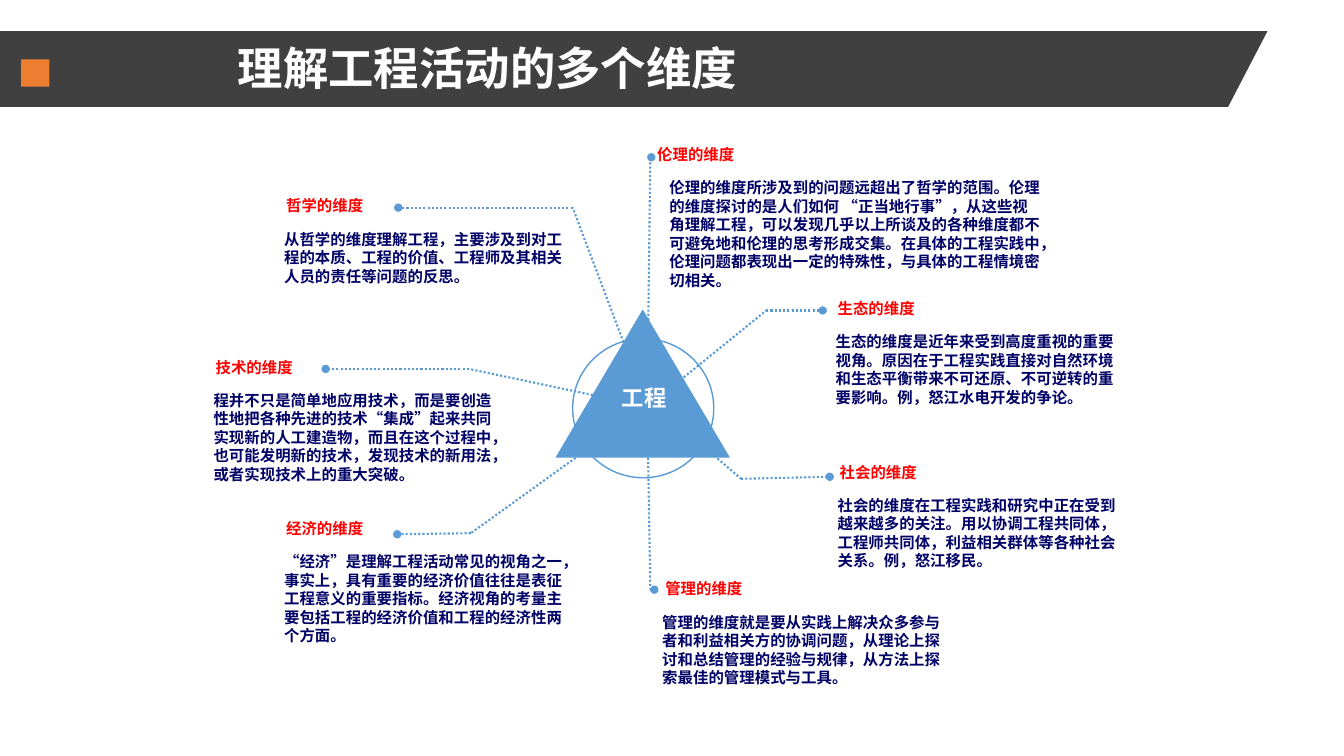
"""Build a slide on the seven dimensions of engineering activity."""
from lxml import etree
from pptx import Presentation
from pptx import util as u
from pptx.dml.color import RGBColor
from pptx.enum import dml, lang, shapes, text
from pptx.oxml.ns import qn

CHARCOAL = RGBColor(0x40, 0x40, 0x40)
ORANGE = RGBColor(0xED, 0x7D, 0x31)
BLUE = RGBColor(0x5B, 0x9B, 0xD5)
WHITE = RGBColor(0xFF, 0xFF, 0xFF)
RED = RGBColor(0xFF, 0x00, 0x00)
NAVY = RGBColor(0x00, 0x00, 0x66)
HAN_FACE = "Noto Sans CJK SC"

deck = Presentation()
deck.slide_width, deck.slide_height = u.Inches(13.33), u.Inches(7.5)
slide = deck.slides.add_slide(deck.slide_layouts[6])
COL = deck.slide_width / 133.3
ROW = deck.slide_height / 75


def place(kind, left, top, width, height, colour):
    """Add a plain filled shape, measured in grid cells."""
    part = slide.shapes.add_shape(kind, round(left * COL), round(top * ROW),
                                  round(width * COL), round(height * ROW))
    part.shadow.inherit = False
    part.fill.solid()
    part.fill.fore_color.rgb = colour
    part.line.fill.background()
    return part


def write(words, left, top, width, height, size, face, colour, wrap=True):
    """Add bold text in a box, measured in grid cells."""
    box = slide.shapes.add_textbox(round(left * COL), round(top * ROW),
                                   round(width * COL), round(height * ROW))
    box.text_frame.word_wrap = wrap
    box.text_frame.auto_size = text.MSO_AUTO_SIZE.SHAPE_TO_FIT_TEXT
    run = box.text_frame.paragraphs[0].add_run()
    run.text = words
    run.font.size, run.font.name, run.font.bold = u.Pt(size), face, True
    run.font.color.rgb = colour
    run.font.language_id = lang.MSO_LANGUAGE_ID.SIMPLIFIED_CHINESE
    etree.SubElement(run.font._element, qn("a:ea"), typeface=HAN_FACE)
    return box.text_frame


place(shapes.MSO_SHAPE.RECTANGLE, 0, 3.1, 121.8, 7.5, CHARCOAL)
banner_tip = place(shapes.MSO_SHAPE.ISOSCELES_TRIANGLE, 121.8, 3.1, 3.9, 7.5, CHARCOAL)
banner_tip.adjustments[0] = 0
banner_tip.rotation = 180
banner_tip._element.spPr.find(qn("a:xfrm")).set("flipH", "1")
place(shapes.MSO_SHAPE.RECTANGLE, 2.1, 5.9, 2.8, 2.7, ORANGE)

title = write("理解工程活动的多个维度", 22.6, 3.8, 86.2, 6.4, 32.4, "Arial", WHITE)
title.auto_size = text.MSO_AUTO_SIZE.NONE
title.vertical_anchor = text.MSO_ANCHOR.MIDDLE
title.paragraphs[0].line_spacing = 0.9

ring = place(shapes.MSO_SHAPE.OVAL, 56.8, 33.6, 14, 13.8, WHITE)
ring.line.color.rgb = BLUE
ring.line.width = u.Pt(1)
place(shapes.MSO_SHAPE.ISOSCELES_TRIANGLE, 55.1, 30.7, 17.3, 14.7, BLUE)

LABEL_WIDTH, LABEL_HEIGHT = 9.7, 2.9
LINE_HEIGHT, PADDING = 1.85, 1
WIDE, NARROW = 38.9, 30.3
dimensions = [
    ("伦理的维度", 64.2, 13.9, 1.2, WIDE, 6,
     "伦理的维度所涉及到的问题远超出了哲学的范围。伦理的维度探讨的是人们如何 “正当地行事”，从这些视角理解工程，"
     "可以发现几乎以上所谈及的各种维度都不可避免地和伦理的思考形成交集。在具体的工程实践中，"
     "伦理问题都表现出一定的特殊性，与具体的工程情境密切相关。"),
    ("生态的维度", 82.1, 29.2, -0.2, NARROW, 4,
     "生态的维度是近年来受到高度重视的重要视角。原因在于工程实践直接对自然环境和生态平衡带来不可还原、"
     "不可逆转的重要影响。例，怒江水电开发的争论。"),
    ("社会的维度", 82.3, 45.4, -0.2, NARROW, 4,
     "社会的维度在工程实践和研究中正在受到越来越多的关注。用以协调工程共同体，工程师共同体，"
     "利益相关群体等各种社会关系。例，怒江移民。"),
    ("管理的维度", 65, 57, -0.3, NARROW, 4,
     "管理的维度就是要从实践上解决众多参与者和利益相关方的协调问题，从理论上探讨和总结管理的经验与规律，"
     "从方法上探索最佳的管理模式与工具。"),
    ("经济的维度", 27.4, 51, -0.2, NARROW, 5,
     "“经济”是理解工程活动常见的视角之一，事实上，具有重要的经济价值往往是表征工程意义的重要指标。"
     "经济视角的考量主要包括工程的经济价值和工程的经济性两个方面。"),
    ("技术的维度", 20.4, 35, -0.2, NARROW, 5,
     "程并不只是简单地应用技术，而是要创造性地把各种先进的技术“集成”起来共同实现新的人工建造物，"
     "而且在这个过程中，也可能发明新的技术，发现技术的新用法，或者实现技术上的重大突破。"),
    ("哲学的维度", 27.4, 19, -0.2, NARROW, 3,
     "从哲学的维度理解工程，主要涉及到对工程的本质、工程的价值、工程师及其相关人员的责任等问题的反思。"),
]
for label, left, top, indent, width, lines, account in dimensions:
    write(account, left + indent, top + 3.3, width, PADDING + lines * LINE_HEIGHT,
          11, HAN_FACE, NAVY)
    write(label, left, top, LABEL_WIDTH, LABEL_HEIGHT, 11, "TeX Gyre Adventor", RED, wrap=False)

spokes = [
    ((64.2, 40.2), (56.8, 20.6), (39.5, 20.6)),
    ((64.2, 39.5), (73.5, 47.5), (82.3, 47.3)),
    ((64.2, 40.1), (64.5, 15.6), (64.6, 15.6)),
    ((64.9, 39.8), (76, 30.8), (81.6, 30.8)),
    ((64.2, 40.4), (64.5, 58.5), (64.9, 58.5)),
    ((64.2, 40.3), (46.7, 52.9), (39.4, 53)),
    ((64.5, 40.4), (46.5, 36.6), (32.3, 36.6)),
]
for hub, bend, dot in spokes:
    for start, end in ((hub, bend), (bend, dot)):
        spoke = slide.shapes.add_connector(
            shapes.MSO_CONNECTOR.STRAIGHT, round(start[0] * COL), round(start[1] * ROW),
            round(end[0] * COL), round(end[1] * ROW))
        spoke.line.color.rgb = BLUE
        spoke.line.width = u.Pt(1.5)
        spoke.line.dash_style = dml.MSO_LINE.ROUND_DOT
        if end == dot:
            etree.SubElement(spoke.line._get_or_add_ln(), qn("a:tailEnd"), type="oval")
        etree.SubElement(spoke._element.spPr, qn("a:effectLst"))

core = write("工程", 59.6, 37.6, 8.6, 3.7, 16, HAN_FACE, WHITE)
core.paragraphs[0].alignment = text.PP_ALIGN.CENTER

deck.save("out.pptx")
